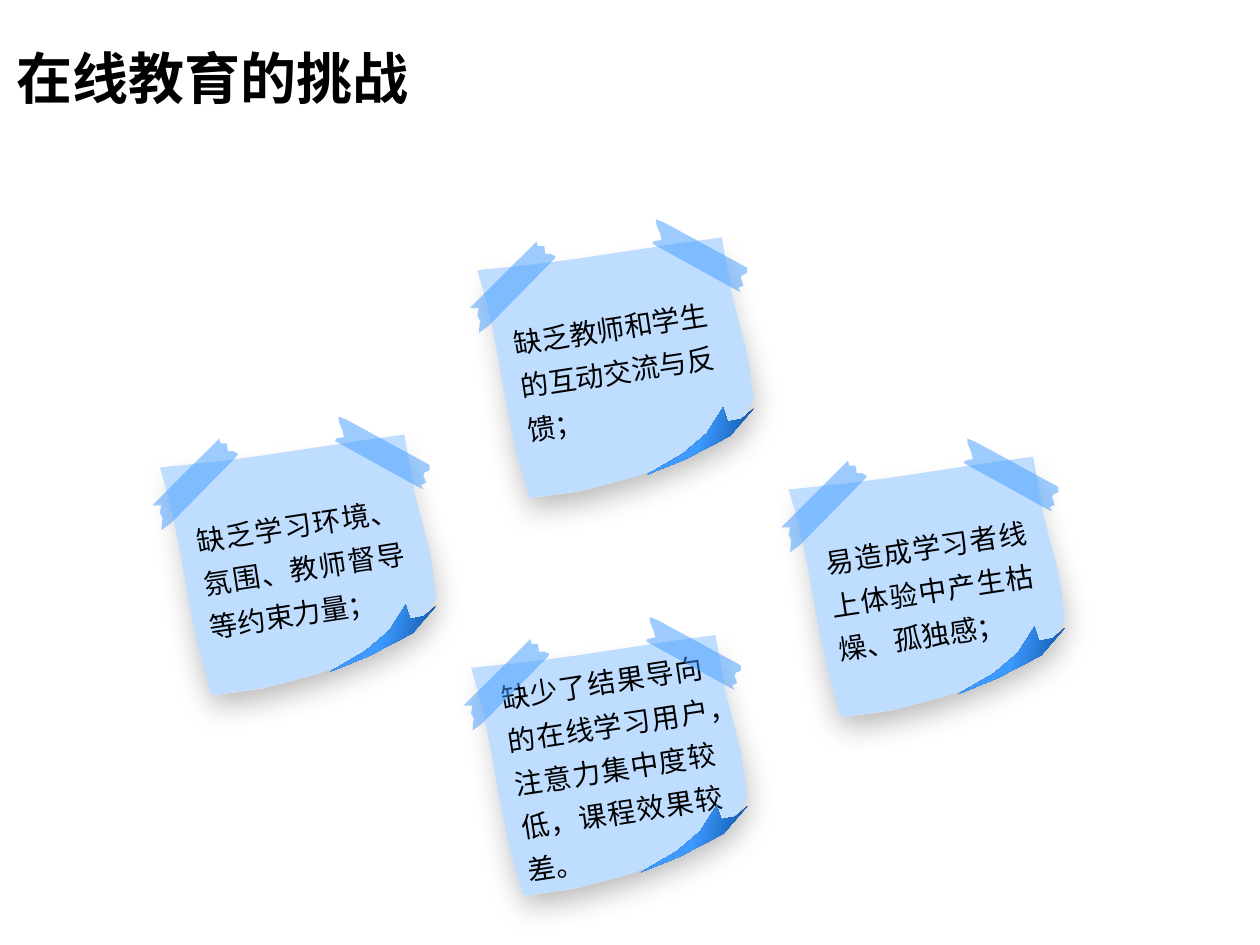
import math

import pptx
import pptx.dml.color
import pptx.enum.text
import pptx.oxml
import pptx.oxml.ns
import pptx.util
from pptx.util import Pt

FONT = "Noto Sans CJK SC"
A_NS = pptx.oxml.ns.nsdecls("a")


def colour(hex_string):
    return pptx.dml.color.RGBColor.from_string(hex_string)


def add_outline(slide, origin, outline, angle):
    """Add a closed outline of lines (2 numbers) and Bézier curves (6), in a frame turned by angle."""
    points = [outline[0]]
    for segment in outline[1:]:
        if len(segment) == 2:
            points.append(segment)
            continue
        start = points[-1]
        steps = max(3, round(math.dist(start, segment[4:]) / 28))
        for step in range(1, steps + 1):
            t = step / steps
            u = 1 - t
            points.append([u**3 * start[i] + 3 * u * u * t * segment[i]
                           + 3 * u * t * t * segment[i + 2] + t**3 * segment[i + 4]
                           for i in (0, 1)])

    # Draw upright, then put the centre where the turned frame needs it.
    cos, sin = math.cos(math.radians(angle)), math.sin(math.radians(angle))
    upright = [(Pt(x * cos + y * sin), Pt(y * cos - x * sin)) for x, y in points]
    builder = slide.shapes.build_freeform(*upright[0])
    builder.add_line_segments(upright[1:], close=True)
    shape = builder.convert_to_shape()
    mid_x, mid_y = shape.left + shape.width / 2, shape.top + shape.height / 2
    shape.left = int(Pt(origin[0]) + mid_x * cos - mid_y * sin - shape.width / 2)
    shape.top = int(Pt(origin[1]) + mid_x * sin + mid_y * cos - shape.height / 2)
    shape.rotation = angle
    shape.shadow.inherit = False
    shape.line.fill.background()
    return shape


# Outlines of one note, in points from the note's origin
BACKING = [(24.5, 54.7), (77, 51.1, 110.2, 45.4, 156.2, 38.9),
           (159.8, 81.4, 190.8, 124.6, 169.2, 140.4), (153.4, 154.1, 96.5, 178.6, 49, 181.4),
           (33.1, 133.2, 36.7, 91.4, 24.5, 54.7)]
PAPER = [(19.4, 51.1), (72.7, 46.8, 112.3, 38.2, 159.1, 32.4),
         (162, 74.9, 191.5, 132.5, 169.2, 138.2), (163.4, 152.6, 95.8, 178.6, 49, 181.4),
         (33.1, 133.2, 32.4, 87.1, 19.4, 51.1)]
CURL = [(177.1, 130.3), (175, 146.2, 131, 162, 116.6, 167.8),
        (141.1, 154.8, 151.9, 146.9, 159.8, 129.6), (157.7, 144, 172.8, 136.8, 177.1, 130.3)]
LEFT_TAPE = [(15.1, 72.7), (53.3, 34.6), (54, 37.4), (57.6, 37.4), (58.3, 41.8), (61.2, 41.8),
             (64.1, 43.2), (63.4, 44.6), (25.9, 82.8), (20.2, 87), (20.9, 79.9), (19.4, 77),
             (20.2, 72.7)]
RIGHT_TAPE = [(126, 23.8), (173.5, 49.7), (173.5, 52.6), (170.6, 54), (169.9, 55.4),
              (171.4, 59.8), (168.5, 61.2), (170, 63.7), (166.3, 61.9), (119.5, 36),
              (120.2, 34.6), (124.6, 33.8), (123.8, 30.2), (121.7, 25.2), (121.4, 22)]

JUSTIFY = pptx.enum.text.PP_ALIGN.JUSTIFY
LEFT = pptx.enum.text.PP_ALIGN.LEFT
NOTES = [
    ((72, 216), "缺乏学习环境、氛围、教师督导等约束力量；", JUSTIFY),
    ((253.4, 103.3), "缺乏教师和学生的互动交流与反馈；", LEFT),
    ((431.3, 228.6), "易造成学习者线上体验中产生枯燥、孤独感；", JUSTIFY),
    ((249.8, 330.5), "缺少了结果导向的在线学习用户，注意力集中度较低，课程效果较差。", JUSTIFY),
]

prs = pptx.Presentation()
prs.slide_width, prs.slide_height = Pt(720), Pt(540)
slide = prs.slides.add_slide(prs.slide_layouts[5])

title = slide.shapes.title
title.left, title.top, title.width, title.height = Pt(2), Pt(21), Pt(585), Pt(57)
title.text_frame.text = "在线教育的挑战"
title.text_frame.auto_size = pptx.enum.text.MSO_AUTO_SIZE.NONE
title.text_frame.vertical_anchor = pptx.enum.text.MSO_ANCHOR.TOP
title.text_frame.paragraphs[0].alignment = LEFT
texts = [(title, 32, True)]

for origin, wording, alignment in NOTES:
    backing = add_outline(slide, origin, BACKING, 351.2)
    backing.fill.solid()
    backing.fill.fore_color.rgb = colour("FFFFFF")
    effects = backing._element.spPr.find(pptx.oxml.ns.qn("a:effectLst"))
    effects.append(pptx.oxml.parse_xml(
        f'<a:outerShdw {A_NS} blurRad="{Pt(17)}" dist="{Pt(6)}" dir="{80 * 60000}" '
        'algn="ctr" rotWithShape="0"><a:srgbClr val="000000"><a:alpha val="28000"/>'
        '</a:srgbClr></a:outerShdw>'))

    paper = add_outline(slide, origin, PAPER, 351.2)
    paper.fill.solid()
    paper.fill.fore_color.rgb = colour("BFDDFF")
    frame = paper.text_frame
    frame.text = wording
    frame.word_wrap = True
    frame.vertical_anchor = pptx.enum.text.MSO_ANCHOR.MIDDLE
    frame.margin_left = frame.margin_right = Pt(14.4)
    frame.margin_top = frame.margin_bottom = Pt(3.6)
    frame.paragraphs[0].alignment = alignment
    frame.paragraphs[0].line_spacing = 1.3
    texts.append((paper, 16, False))

    curl = add_outline(slide, origin, CURL, 237.7)
    curl.fill.gradient()
    curl.fill.gradient_angle = 45
    for stop, position, shade in zip(curl.fill.gradient_stops, (0, 0.5), ("00438D", "3E9AFF")):
        stop.position = position
        stop.color.rgb = colour(shade)

    for outline, angle in ((LEFT_TAPE, 315), (RIGHT_TAPE, 29)):
        tape = add_outline(slide, origin, outline, angle)
        tape.fill.solid()
        tape.fill.fore_color.rgb = colour("3E9AFF")
        tape_colour = tape._element.spPr.find(".//" + pptx.oxml.ns.qn("a:srgbClr"))
        tape_colour.append(pptx.oxml.parse_xml(f'<a:alpha {A_NS} val="50000"/>'))

for holder, size, bold in texts:
    run = holder.text_frame.paragraphs[0].runs[0]
    run.font.size = Pt(size)
    run.font.bold = bold
    run.font.color.rgb = colour("000000")
    run.font.name = FONT
    run._r.rPr.append(pptx.oxml.parse_xml(f'<a:ea {A_NS} typeface="{FONT}"/>'))

prs.save("out.pptx")
